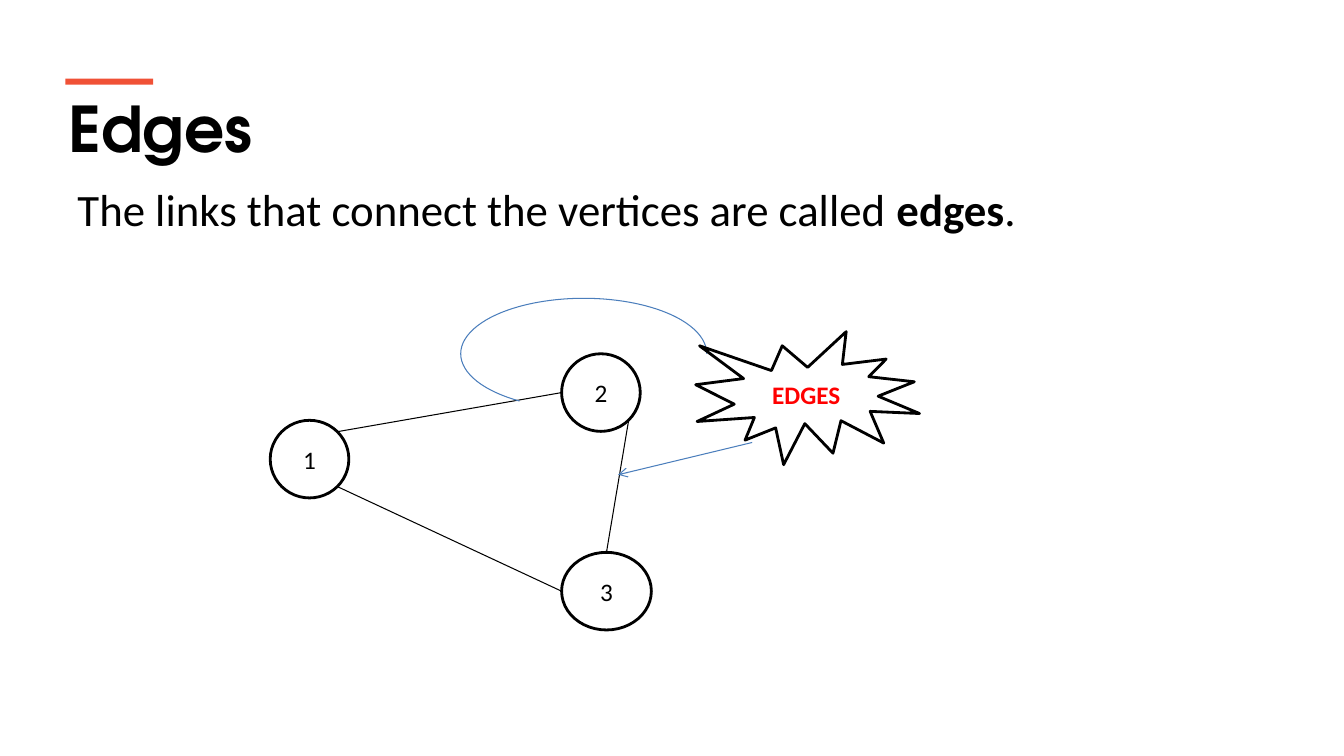
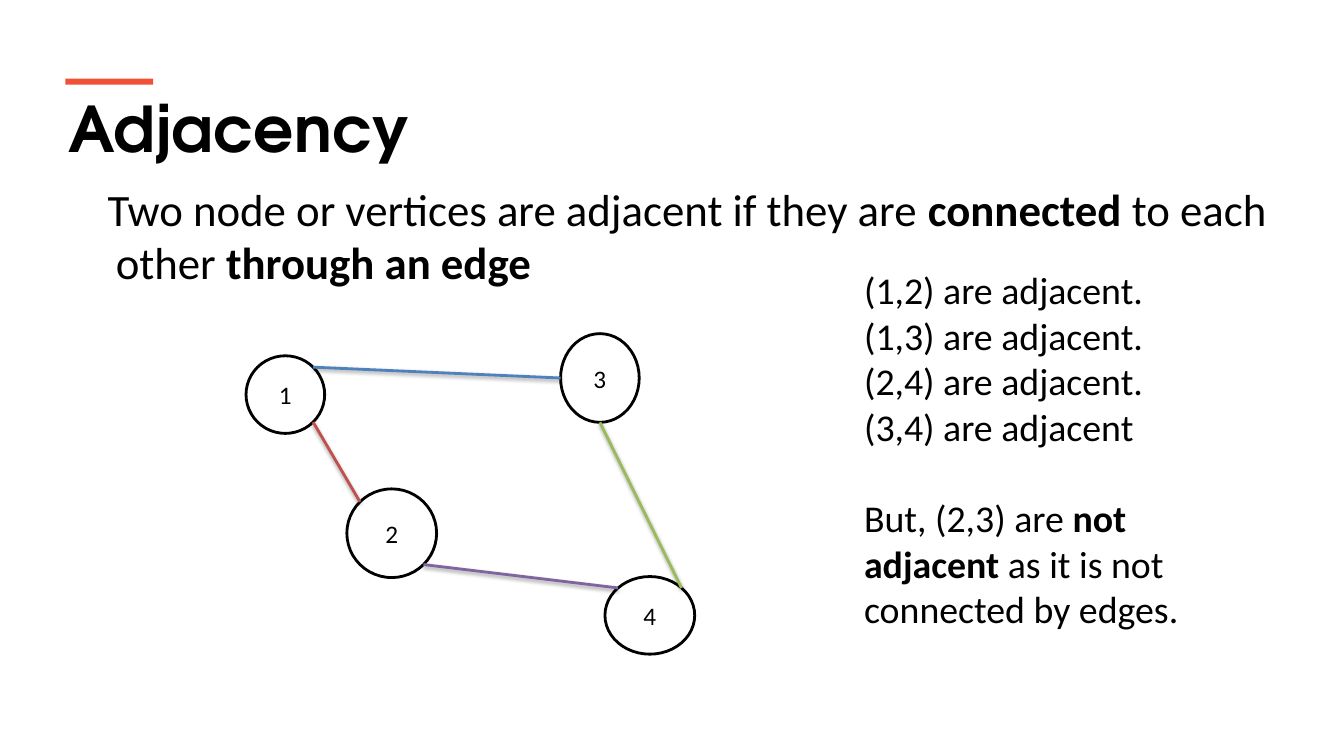
from math import cos, radians, sin

from lxml.etree import SubElement
from pptx import Presentation
from pptx.dml.color import RGBColor
from pptx.enum.shapes import MSO_CONNECTOR as Connector, MSO_SHAPE as Shape
from pptx.enum.text import MSO_ANCHOR as Anchor, MSO_AUTO_SIZE as AutoSize, PP_ALIGN as Align
from pptx.oxml.ns import qn
from pptx.util import Inches, Pt

# Shared style
BLACK = RGBColor(0x00, 0x00, 0x00)
WHITE = RGBColor(0xFF, 0xFF, 0xFF)
ACCENT = RGBColor(0xF0, 0x51, 0x36)
ALERT = RGBColor(0xFF, 0x00, 0x00)
POINTER = RGBColor(0x4B, 0x7E, 0xBC)
BLUE = RGBColor(0x4F, 0x81, 0xBD)
RED = RGBColor(0xC0, 0x50, 0x4D)
GREEN = RGBColor(0x9B, 0xBB, 0x59)
PURPLE = RGBColor(0x80, 0x64, 0xA2)
TITLE_FONT, BODY_FONT = "TeX Gyre Adventor", "Calibri"
TITLE_SIZE, BODY_SIZE, NOTE_SIZE, LABEL_SIZE = 45, 32, 27, 18
THIN, THICK = 0.75, 2
TITLE_BOX = (0.58, 0.84, 12.18, 0.86)
BAR_BOX = (0.65, 0.78, 0.87, 0.06)
BODY_BOX = (0.67, 1.75, 12, 4.95)
NOTE_BOX = (8.44, 2.58, 4.11, 3.77)
WIDE_INSETS = (0.13, 0.07, 0.13, 0.07)
HANGING = 0.38

# Points on an ellipse, in degrees clockwise from the right
SITES = {"right": 0, "bottom right": 45, "bottom": 90, "bottom left": 135,
         "left": 180, "top left": 225, "top": 270, "top right": 315}

# Content: a paragraph is a list of (text, bold); a node is left, top, width, height;
# an edge is node, site, node, site, colour
EDGES = {
    "title": "Edges",
    "body": [("The links that connect the vertices are called\u00a0", False),
             ("edges", True), (".", False)],
    "first_indent": -HANGING,
    "nodes": {"1": (2.68, 4.17, 0.78, 0.77),
              "2": (5.57, 3.51, 0.78, 0.77),
              "3": (5.57, 5.48, 0.89, 0.77)},
    "edges": [("1", "top right", "2", "left", BLACK),
              ("1", "bottom right", "3", "left", BLACK),
              ("2", "bottom right", "3", "top", BLACK)],
    "edge_width": THIN,
    "edge_shadow": False,
}
ADJACENCY = {
    "title": "Adjacency",
    "body": [("Two node or vertices are adjacent if they are ", False),
             ("connected", True), (" to each other ", False),
             ("through an edge", True)],
    "first_indent": -0.08,
    "nodes": {"1": (2.44, 3.53, 0.78, 0.77),
              "2": (3.44, 4.85, 0.89, 0.88),
              "3": (5.56, 3.31, 0.78, 0.88),
              "4": (6, 5.72, 0.89, 0.77)},
    "edges": [("1", "bottom right", "2", "top left", RED),
              ("1", "top right", "3", "left", BLUE),
              ("2", "bottom right", "4", "top left", PURPLE),
              ("3", "bottom", "4", "top right", GREEN)],
    "edge_width": THICK,
    "edge_shadow": True,
}
NOTES = [
    [("(1,2) are adjacent.", False)],
    [("(1,3) are adjacent.", False)],
    [("(2,4) are adjacent.", False)],
    [("(3,4) are adjacent", False)],
    [("But, (2,3) are ", False), ("not adjacent", True),
     (" as it is not connected by edges.", False)],
]
CALLOUT = {"text": "EDGES", "box": (6.9, 3.29, 2.22, 1.32)}
CALLOUT_ARC = {"box": (4.57, 2.96, 2.44, 1.1), "angles": (86.166, 0)}
CALLOUT_ARROW = ((7.46, 4.39), (6.13, 4.71))


def inches(values):
    return [Inches(value) for value in values]


def set_insets(frame, insets):
    (frame.margin_left, frame.margin_top,
     frame.margin_right, frame.margin_bottom) = inches(insets)


def style_span(span, size, color=BLACK, bold=False, font=BODY_FONT):
    span.font.name, span.font.size, span.font.bold = font, Pt(size), bold
    span.font.color.rgb = color


def write_spans(para, parts, size):
    for text, bold in parts:
        span = para.add_run()
        span.text = text
        style_span(span, size, bold=bold)


def add_text(page, box, paragraphs, size):
    frame = page.shapes.add_textbox(*inches(box)).text_frame
    frame.word_wrap = True
    for index, parts in enumerate(paragraphs):
        para = frame.add_paragraph() if index else frame.paragraphs[0]
        write_spans(para, parts, size)
    return frame


def add_shape(page, kind, box, fill=None, line=None, width=THICK):
    shape = page.shapes.add_shape(kind, *inches(box))
    shape.shadow.inherit = False
    if fill is None:
        shape.fill.background()
    else:
        shape.fill.solid()
        shape.fill.fore_color.rgb = fill
    if line is None:
        shape.line.fill.background()
    else:
        shape.line.color.rgb = line
        shape.line.width = Pt(width)
    return shape


def add_labelled(page, kind, box, text, color=BLACK, bold=False):
    frame = add_shape(page, kind, box, WHITE, BLACK).text_frame
    set_insets(frame, WIDE_INSETS)
    frame.vertical_anchor = Anchor.MIDDLE
    frame.text = text
    para = frame.paragraphs[0]
    para.alignment = Align.CENTER
    style_span(para.runs[0], LABEL_SIZE, color, bold)


def add_line(page, start, end, color, width, shadow=False, arrow=False):
    line = page.shapes.add_connector(Connector.STRAIGHT, *inches(start + end))
    line.line.color.rgb = color
    line.line.width = Pt(width)
    if arrow:
        SubElement(line.line._get_or_add_ln(), qn("a:tailEnd"), type="arrow")
    effects = SubElement(line._element.spPr, qn("a:effectLst"))
    if shadow:
        outer = SubElement(effects, qn("a:outerShdw"), blurRad=str(Pt(3.1)),
                           dist=str(Pt(1.6)), dir="5400000", rotWithShape="0")
        shade = SubElement(outer, qn("a:srgbClr"), val=str(BLACK))
        SubElement(shade, qn("a:alpha"), val="38000")


def site_point(box, site):
    left, top, width, height = box
    angle = radians(SITES[site])
    return (left + width / 2 * (1 + cos(angle)),
            top + height / 2 * (1 + sin(angle)))


def add_page(deck, content):
    page = deck.slides.add_slide(deck.slide_layouts[5])

    # Title and accent bar
    title = page.shapes.title
    title.left, title.top, title.width, title.height = inches(TITLE_BOX)
    frame = title.text_frame
    frame.text = content["title"]
    frame.auto_size = AutoSize.NONE
    frame.vertical_anchor = Anchor.TOP
    frame.paragraphs[0].alignment = Align.LEFT
    style_span(frame.paragraphs[0].runs[0], TITLE_SIZE, bold=True, font=TITLE_FONT)
    add_shape(page, Shape.RECTANGLE, BAR_BOX, ACCENT)

    # Definition with a hanging indent
    body = add_text(page, BODY_BOX, [content["body"]], BODY_SIZE)
    properties = body.paragraphs[0]._p.get_or_add_pPr()
    properties.set("marL", str(Inches(HANGING)))
    properties.set("indent", str(Inches(content["first_indent"])))

    # Graph
    nodes = content["nodes"]
    for label, box in nodes.items():
        add_labelled(page, Shape.OVAL, box, label)
    for first, first_site, second, second_site, color in content["edges"]:
        add_line(page, site_point(nodes[first], first_site),
                 site_point(nodes[second], second_site),
                 color, content["edge_width"], content["edge_shadow"])
    return page


def add_callout(page):
    arc = add_shape(page, Shape.ARC, CALLOUT_ARC["box"], line=POINTER, width=THIN)
    for index, angle in enumerate(CALLOUT_ARC["angles"]):
        arc.adjustments[index] = angle
    add_labelled(page, Shape.EXPLOSION1, CALLOUT["box"], CALLOUT["text"], ALERT, True)
    add_line(page, *CALLOUT_ARROW, POINTER, THIN, arrow=True)


def add_notes_column(page):
    frame = add_text(page, NOTE_BOX, NOTES, NOTE_SIZE)
    set_insets(frame, WIDE_INSETS)
    frame.paragraphs[-1].space_before = Pt(33)


def main():
    deck = Presentation()
    deck.slide_width, deck.slide_height = Inches(13.33), Inches(7.5)
    add_callout(add_page(deck, EDGES))
    add_notes_column(add_page(deck, ADJACENCY))
    deck.save("out.pptx")


if __name__ == "__main__":
    main()
